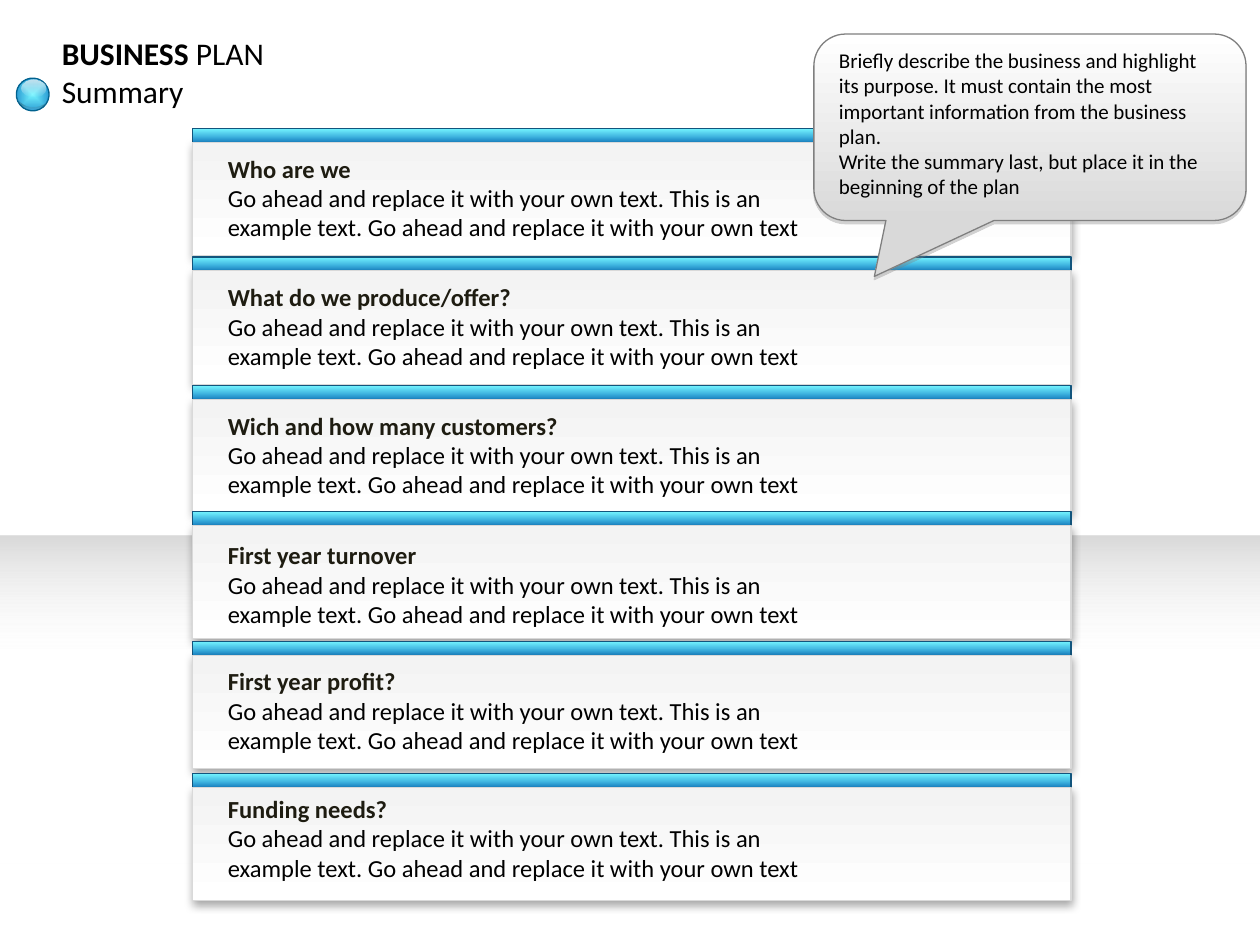
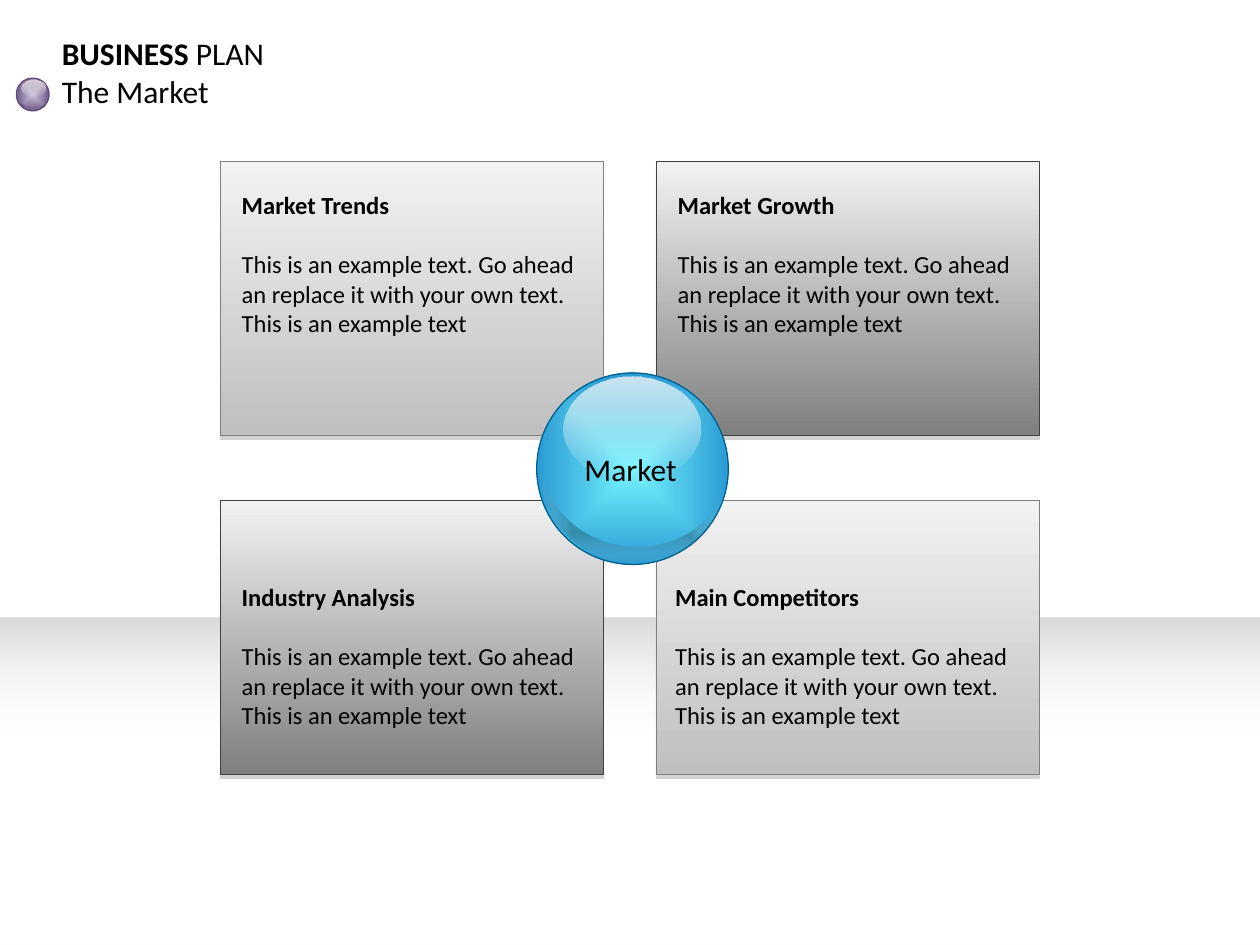
from dataclasses import dataclass
from typing import NamedTuple

from lxml.etree import SubElement
from pptx import Presentation
from pptx.dml.color import RGBColor
from pptx.enum.shapes import MSO_SHAPE
from pptx.enum.text import MSO_ANCHOR, MSO_AUTO_SIZE, PP_ALIGN
from pptx.oxml.ns import qn
from pptx.shapes.autoshape import Shape
from pptx.slide import Slide
from pptx.text.text import TextFrame, _Paragraph
from pptx.util import Emu, Pt

EMU_PER_PX = 9144
TITLE_ONLY = 5


class Box(NamedTuple):
    left: int
    top: int
    width: int
    height: int

    def emu(self) -> list[Emu]:
        return [Emu(length * EMU_PER_PX) for length in self]


class Stop(NamedTuple):
    position: int
    color: str
    opacity: int = 100


class Gradient(NamedTuple):
    stops: tuple[Stop, ...]
    angle: int | None = None


class Line(NamedTuple):
    color: str
    width: float = 0.75


class Shadow(NamedTuple):
    color: str
    blur: float = 0
    opacity: int = 35
    distance: float = 1.8


class SummaryRow(NamedTuple):
    heading: str
    bar_top: int
    text_top: int


class MarketPanel(NamedTuple):
    heading: str
    column: int
    row: int
    text_left: int
    dark: bool


class OrbStyle(NamedTuple):
    fill: Gradient
    line: Line


def blend(start: str, end: str, angle: int | None = None) -> Gradient:
    return Gradient((Stop(0, start), Stop(100, end)), angle)


@dataclass(frozen=True)
class Theme:
    font: str = "Calibri"
    text: str = "000000"
    heading: str = "1E1C11"
    title_size: int = 18
    body_size: int = 14
    note_size: int = 12
    heading_gap: int = 17
    floor: Gradient = Gradient((Stop(61, "FFFFFF", 0), Stop(100, "D9D9D9")), 270)
    bar: Gradient = Gradient((Stop(0, "74F4FF"), Stop(80, "208ECD"), Stop(100, "208ECD")), 90)
    bar_line: Line = Line("12557D")
    card: Gradient = blend("FFFFFF", "F3F3F3", 270)
    card_line: Line = Line("D9D9D9")
    card_shadow: Shadow = Shadow("000000", 5)
    note: Gradient = blend("FFFFFF", "D9D9D9", 90)
    note_line: Line = Line("7F7F7F")
    flat_shadow: Shadow = Shadow("808080")
    light_panel: Gradient = blend("F2F2F2", "BFBFBF", 90)
    light_panel_line: Line = Line("7F7F7F", 0.5)
    dark_panel: Gradient = blend("F2F2F2", "7F7F7F", 90)
    dark_panel_line: Line = Line("404040", 0.5)
    blue_orb: OrbStyle = OrbStyle(blend("74F4FF", "208ECD"), Line("00618E"))
    purple_orb: OrbStyle = OrbStyle(blend("CCC1DA", "604A7B"), Line("604A7B"))
    orb_gloss: Gradient = Gradient((Stop(0, "FFFFFF", 0), Stop(100, "FFFCF9", 77)), 270)
    orb_shade: Gradient = Gradient((Stop(24, "000000", 24), Stop(100, "FFFFFF", 0)))


THEME = Theme()

ROW_TEXT = (
    "Go ahead and replace it with your own text. This is an example text. "
    "Go ahead and replace it with your own text"
)
PANEL_TEXT = (
    "This is an example text. Go ahead an replace it with your own text. "
    "This is an example text"
)
NOTE_TEXTS = (
    "Briefly describe the business and highlight its purpose. It must contain "
    "the most important information from the business plan.",
    "Write the summary last, but place it in the beginning of the plan",
)
SUMMARY_ROWS = (
    SummaryRow("Who are we", 102, 117),
    SummaryRow("What do we produce/offer?", 204, 219),
    SummaryRow("Wich and how many customers?", 306, 321),
    SummaryRow("First year turnover", 406, 424),
    SummaryRow("First year profit?", 509, 524),
    SummaryRow("Funding needs?", 614, 625),
)
MARKET_PANELS = (
    MarketPanel("Market Trends", 0, 0, 182, False),
    MarketPanel("Market Growth", 1, 0, 528, True),
    MarketPanel("Industry Analysis", 0, 1, 182, True),
    MarketPanel("Main Competitors", 1, 1, 526, False),
)
PANEL_TEXT_TOPS = (146, 457)


def add_color(parent, color: str, opacity: int) -> None:
    rgb = SubElement(parent, qn("a:srgbClr"), val=color)
    if opacity < 100:
        SubElement(rgb, qn("a:alpha"), val=str(opacity * 1000))


def apply_gradient(shape: Shape, gradient: Gradient) -> None:
    shape.fill.background()
    no_fill = shape.element.spPr.find(qn("a:noFill"))
    fill = SubElement(shape.element.spPr, qn("a:gradFill"), rotWithShape="1")
    no_fill.getparent().replace(no_fill, fill)
    stop_list = SubElement(fill, qn("a:gsLst"))
    for stop in gradient.stops:
        entry = SubElement(stop_list, qn("a:gs"), pos=str(stop.position * 1000))
        add_color(entry, stop.color, stop.opacity)
    if gradient.angle is None:
        radial = SubElement(fill, qn("a:path"), path="shape")
        SubElement(radial, qn("a:fillToRect"), l="50000", t="50000", r="50000", b="50000")
    else:
        SubElement(fill, qn("a:lin"), ang=str(gradient.angle * 60000), scaled="0")


def apply_shadow(shape: Shape, shadow: Shadow) -> None:
    effects = shape.element.spPr.find(qn("a:effectLst"))
    outer = SubElement(
        effects, qn("a:outerShdw"), blurRad=str(Pt(shadow.blur)),
        dist=str(Pt(shadow.distance)), dir="5400000", algn="t", rotWithShape="0",
    )
    add_color(outer, shadow.color, shadow.opacity)


def draw(
    slide: Slide,
    kind: MSO_SHAPE,
    box: Box,
    fill: Gradient,
    line: Line | None = None,
    shadow: Shadow | None = None,
    rotation: float = 0,
    adjustments: tuple[float, ...] = (),
) -> None:
    shape = slide.shapes.add_shape(kind, *box.emu())
    shape.rotation = rotation
    for index, value in enumerate(adjustments):
        shape.adjustments[index] = value
    apply_gradient(shape, fill)
    if line:
        shape.line.color.rgb = RGBColor.from_string(line.color)
        shape.line.width = Pt(line.width)
    else:
        shape.line.fill.background()
    shape.shadow.inherit = False
    if shadow:
        apply_shadow(shape, shadow)


def write(
    paragraph: _Paragraph,
    text: str,
    *,
    size: int = THEME.body_size,
    color: str = THEME.text,
    bold: bool = False,
    space_after: int = 0,
) -> None:
    paragraph.alignment = PP_ALIGN.LEFT
    paragraph.space_after = Pt(space_after)
    run = paragraph.add_run()
    run.text = text
    run.font.name = THEME.font
    run.font.size = Pt(size)
    run.font.bold = bold
    run.font.color.rgb = RGBColor.from_string(color)


def prepare(frame: TextFrame) -> TextFrame:
    frame.word_wrap = True
    frame.auto_size = MSO_AUTO_SIZE.NONE
    frame.vertical_anchor = MSO_ANCHOR.TOP
    return frame


def add_text_area(slide: Slide, box: Box) -> TextFrame:
    return prepare(slide.shapes.add_textbox(*box.emu()).text_frame)


def add_topic(
    slide: Slide, box: Box, heading: str, body: str, color: str = THEME.text, gap: int = 0
) -> None:
    frame = add_text_area(slide, box)
    write(frame.paragraphs[0], heading, color=color, bold=True, space_after=gap)
    write(frame.add_paragraph(), body)


def add_orb(slide: Slide, left: int, top: int, size: int, style: OrbStyle) -> None:
    def part(x: float, y: float, width: float, height: float) -> Box:
        return Box(
            left + round(x * size), top + round(y * size),
            round(width * size), round(height * size),
        )

    draw(slide, MSO_SHAPE.OVAL, part(0, 0, 1, 1), style.fill, style.line, rotation=350.9)
    draw(slide, MSO_SHAPE.OVAL, part(0.14, 0.02, 0.72, 0.54), THEME.orb_gloss)
    draw(
        slide, MSO_SHAPE.MOON, part(0.26, 0.28, 0.44, 0.97), THEME.orb_shade,
        rotation=275.9, adjustments=(0.19,),
    )


def start_slide(presentation: Presentation, topic: str, floor_top: int, orb: OrbStyle) -> Slide:
    slide = presentation.slides.add_slide(presentation.slide_layouts[TITLE_ONLY])
    title = slide.shapes.title
    title.left, title.top, title.width, title.height = Box(39, 22, 193, 71).emu()
    frame = prepare(title.text_frame)
    write(frame.paragraphs[0], "BUSINESS", size=THEME.title_size, bold=True)
    write(frame.paragraphs[0], " PLAN", size=THEME.title_size)
    write(frame.add_paragraph(), topic, size=THEME.title_size)
    draw(slide, MSO_SHAPE.RECTANGLE, Box(0, floor_top, 1000, 260), THEME.floor)
    add_orb(slide, 13, 62, 26, orb)
    return slide


def build_summary(presentation: Presentation) -> None:
    slide = start_slide(presentation, "Summary", 425, THEME.blue_orb)
    for row in SUMMARY_ROWS:
        bar = Box(153, row.bar_top, 697, 13)
        card = bar._replace(top=row.bar_top + 11, height=90)
        draw(slide, MSO_SHAPE.RECTANGLE, bar, THEME.bar, THEME.bar_line)
        draw(slide, MSO_SHAPE.RECTANGLE, card, THEME.card, THEME.card_line, THEME.card_shadow)
        add_topic(slide, Box(171, row.text_top, 500, 81), row.heading, ROW_TEXT, THEME.heading)
    draw(
        slide, MSO_SHAPE.ROUNDED_RECTANGULAR_CALLOUT, Box(646, 27, 343, 148),
        THEME.note, THEME.note_line, THEME.flat_shadow, adjustments=(-0.36, 0.8, 0.17),
    )
    note = add_text_area(slide, Box(656, 33, 322, 131))
    write(note.paragraphs[0], NOTE_TEXTS[0], size=THEME.note_size)
    write(note.add_paragraph(), NOTE_TEXTS[1], size=THEME.note_size)


def build_market(presentation: Presentation) -> None:
    slide = start_slide(presentation, "The Market", 490, THEME.purple_orb)
    for panel in MARKET_PANELS:
        box = Box(175 + panel.column * 346, 128 + panel.row * 269, 304, 218)
        fill = THEME.dark_panel if panel.dark else THEME.light_panel
        line = THEME.dark_panel_line if panel.dark else THEME.light_panel_line
        draw(slide, MSO_SHAPE.RECTANGLE, box, fill, line, THEME.flat_shadow)
        text_box = Box(panel.text_left, PANEL_TEXT_TOPS[panel.row], 292, 128)
        add_topic(slide, text_box, panel.heading, PANEL_TEXT, gap=THEME.heading_gap)
    add_orb(slide, 426, 296, 152, THEME.blue_orb)
    market = add_text_area(slide, Box(454, 352, 103, 40))
    write(market.paragraphs[0], "Market", size=THEME.title_size)


def main() -> None:
    presentation = Presentation()
    presentation.slide_width = Emu(1000 * EMU_PER_PX)
    presentation.slide_height = Emu(750 * EMU_PER_PX)
    build_summary(presentation)
    build_market(presentation)
    presentation.save("out.pptx")


if __name__ == "__main__":
    main()
